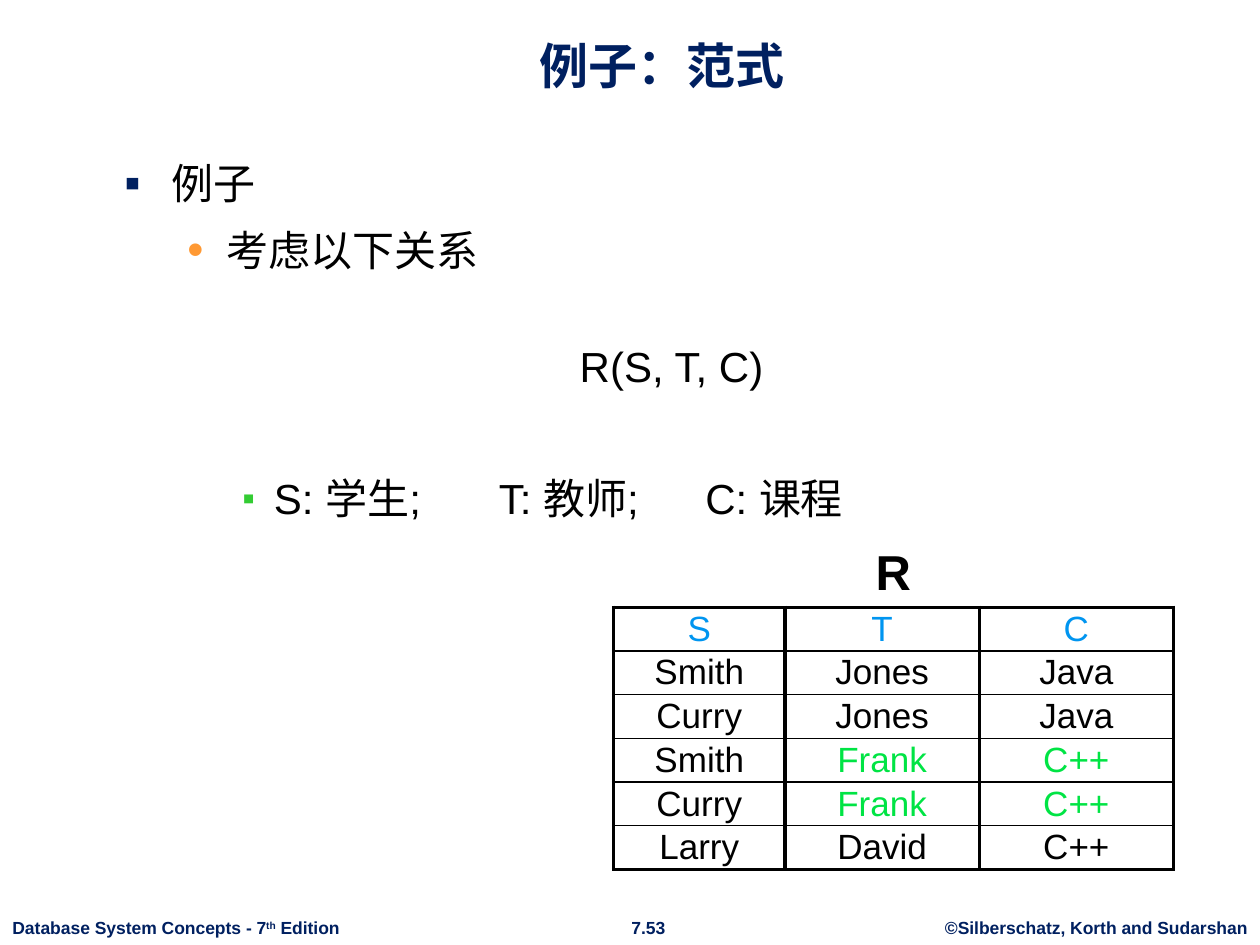
from lxml.etree import SubElement
from pptx import Presentation
from pptx.dml.color import RGBColor
from pptx.enum.text import MSO_ANCHOR as Anchor, PP_ALIGN as Align
from pptx.oxml.ns import qn
from pptx.util import Pt

NAVY = RGBColor(0x00, 0x20, 0x60)
ORANGE = RGBColor(0xFF, 0x99, 0x33)
BULLET_GREEN = RGBColor(0x33, 0xCC, 0x33)
BLUE = RGBColor(0x00, 0x95, 0xF0)
GREEN = RGBColor(0x00, 0xE4, 0x44)
BLACK = RGBColor(0, 0, 0)
WHITE = RGBColor(0xFF, 0xFF, 0xFF)


def add_run(paragraph, text, size, color, bold=False):
    run = paragraph.add_run()
    run.text = text
    for name, value in dict(name="Arial", size=Pt(size), bold=bold).items():
        setattr(run.font, name, value)
    run.font.color.rgb = color
    return run


def add_text_box(left, top, width, height, wrap=False):
    frame = slide.shapes.add_textbox(Pt(left), Pt(top), Pt(width), Pt(height)).text_frame
    frame.word_wrap = wrap
    return frame


presentation = Presentation()
presentation.slide_width, presentation.slide_height = Pt(720), Pt(540)
slide = presentation.slides.add_slide(presentation.slide_layouts[5])

# Title
title = slide.shapes.title
title_box = dict(left=60.5, top=9.4, width=635.8, height=48.2)
for name, value in title_box.items():
    setattr(title, name, Pt(value))
title.text_frame.vertical_anchor = Anchor.BOTTOM
title_paragraph = title.text_frame.paragraphs[0]
title_paragraph.alignment = Align.CENTER
add_run(title_paragraph, "例子：范式", 28, NAVY, bold=True)

# Outline: text, level, margin, hanging, space before, alignment, bullet, tab stops
LINE, GAP = 27.6, 9.66
outline = [
    ("例子", 0, 27, 27, GAP, Align.LEFT, ("▪", NAVY, 110), ()),
    ("考虑以下关系", 1, 58.5, 22.5, GAP, Align.LEFT, ("•", ORANGE, 110), ()),
    ("R(S, T, C)", 1, 58.5, 22.5, LINE + GAP, Align.CENTER, None, ()),
    ("S: 学生;\tT: 教师;\tC: 课程", 2, 85.5, 18, LINE + 2 * GAP, Align.LEFT,
     ("▪", BULLET_GREEN, 85), (214, 332)),
]
body = add_text_box(64, 86.4, 603.5, 386, wrap=True)
for index, (text, level, margin, hanging, space, alignment, bullet, tabs) in enumerate(outline):
    paragraph = body.add_paragraph() if index else body.paragraphs[0]
    settings = dict(level=level, alignment=alignment, space_before=Pt(space))
    for name, value in settings.items():
        setattr(paragraph, name, value)
    properties = paragraph._p.get_or_add_pPr()
    properties.set("marL", str(Pt(margin)))
    properties.set("indent", str(-Pt(hanging)))
    if bullet:
        character, color, percent = bullet
        bullet_color = SubElement(properties, qn("a:buClr"))
        SubElement(bullet_color, qn("a:srgbClr"), val=str(color))
        SubElement(properties, qn("a:buSzPct"), val=str(percent * 1000))
        SubElement(properties, qn("a:buFont"), typeface="Arial")
        SubElement(properties, qn("a:buChar"), char=character)
    if tabs:
        tab_list = SubElement(properties, qn("a:tabLst"))
        for position in tabs:
            SubElement(tab_list, qn("a:tab"), pos=str(Pt(position)), algn="l")
    # Tabs stay real tab characters inside the run
    add_run(paragraph, text, 24, BLACK)

# Relation R
rows = [
    ("S", "T", "C"),
    ("Smith", "Jones", "Java"),
    ("Curry", "Jones", "Java"),
    ("Smith", "Frank", "C++"),
    ("Curry", "Frank", "C++"),
    ("Larry", "David", "C++"),
]
column_widths = (98, 111, 111)
THICK, THIN = 2.25, 1
last_row = len(rows) - 1
table = slide.shapes.add_table(len(rows), 3, Pt(350.6), Pt(347), Pt(320), Pt(150)).table
table.first_row = table.horz_banding = False
for column, width in zip(table.columns, column_widths):
    column.width = Pt(width)
for row_index, row in enumerate(rows):
    table.rows[row_index].height = Pt(25)
    for column_index, text in enumerate(row):
        cell = table.cell(row_index, column_index)
        for side in ("left", "right", "top", "bottom"):
            setattr(cell, f"margin_{side}", 0)
        cell.vertical_anchor = Anchor.MIDDLE
        borders = dict(
            lnL=THICK,
            lnR=THICK,
            lnT=THICK if row_index == 0 else THIN,
            lnB=THICK if row_index == last_row else THIN,
        )
        cell_properties = cell._tc.get_or_add_tcPr()
        for tag, width in borders.items():
            line = SubElement(cell_properties, qn(f"a:{tag}"), w=str(Pt(width)))
            line_fill = SubElement(line, qn("a:solidFill"))
            SubElement(line_fill, qn("a:srgbClr"), val=str(BLACK))
        cell.fill.solid()
        cell.fill.fore_color.rgb = WHITE
        if row_index == 0:
            color = BLUE
        elif row[1] == "Frank" and column_index > 0:
            color = GREEN
        else:
            color = BLACK
        paragraph = cell.text_frame.paragraphs[0]
        paragraph.alignment = Align.CENTER
        add_run(paragraph, text, 20, color)

relation_name = add_text_box(493.2, 306, 35.3, 41)
add_run(relation_name.paragraphs[0], "R", 28, BLACK, bold=True)

# Footer: left, width, alignment, pieces of text with their baseline shift
footers = [
    (0, 202.3, Align.LEFT,
     [("Database System Concepts - 7", 0), ("th", 30000), (" Edition", 0)]),
    (352.8, 35.3, Align.CENTER, [("7.53", 0)]),
    (532.8, 187.2, Align.CENTER, [("©Silberschatz, Korth and Sudarshan", 0)]),
]
for left, width, alignment, pieces in footers:
    paragraph = add_text_box(left, 520.6, width, 19.4).paragraphs[0]
    paragraph.alignment = alignment
    for text, baseline in pieces:
        run = add_run(paragraph, text, 10, NAVY, bold=True)
        if baseline:
            run._r.get_or_add_rPr().set("baseline", str(baseline))

presentation.save("out.pptx")
